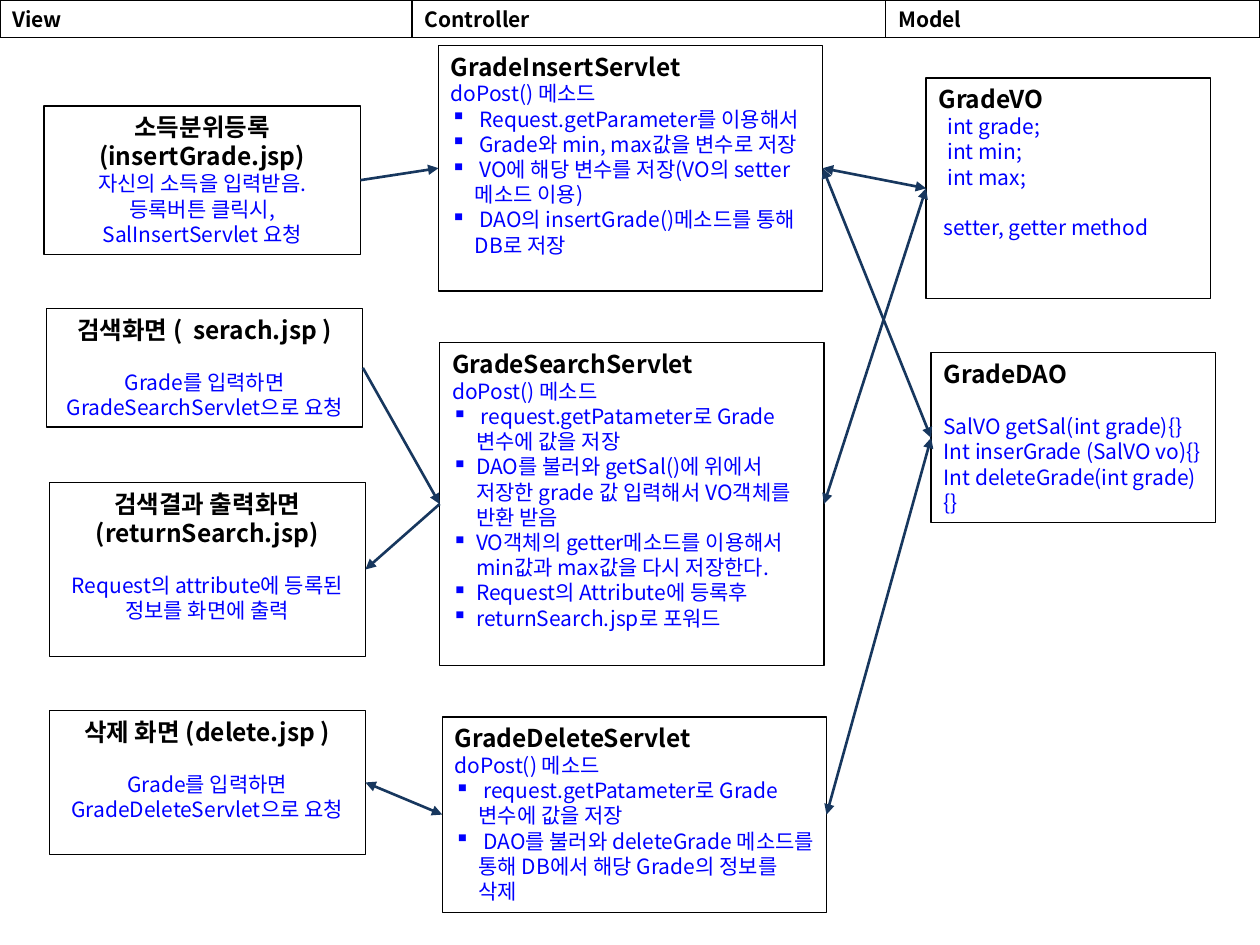
from dataclasses import dataclass

from lxml import etree
from pptx import Presentation
from pptx.dml.color import RGBColor
from pptx.enum.shapes import MSO_CONNECTOR, MSO_SHAPE
from pptx.enum.text import MSO_ANCHOR, PP_ALIGN
from pptx.oxml.ns import qn
from pptx.util import Inches, Pt

RECTANGLE = MSO_SHAPE.RECTANGLE
STRAIGHT = MSO_CONNECTOR.STRAIGHT
TOP = MSO_ANCHOR.TOP
LEFT, CENTER = PP_ALIGN.LEFT, PP_ALIGN.CENTER
LEFT_SIDE, RIGHT_SIDE = 1, 3


@dataclass(frozen=True)
class Theme:
    font: str = "Noto Sans CJK KR"
    black: RGBColor = RGBColor(0, 0, 0)
    blue: RGBColor = RGBColor(0, 0, 0xFF)
    navy: RGBColor = RGBColor(0x17, 0x37, 0x5E)
    title_size: Pt = Pt(14)
    body_size: Pt = Pt(12)
    line_gap: Pt = Pt(14.4)
    box_line: Pt = Pt(0.75)
    arrow_line: Pt = Pt(1.5)


THEME = Theme()
TITLE = {"size": THEME.title_size, "bold": True, "color": THEME.black}
HEADER = {"size": THEME.body_size, "bold": True, "color": THEME.black}
BODY = {"size": THEME.body_size, "bold": False, "color": THEME.blue}

# Paragraph kinds: left margin and first-line indent in inches, space before
KINDS = {
    "plain": (0, 0, Pt(0)),
    "gap": (0, 0, THEME.line_gap),
    "field": (0.07, 0, Pt(0)),
    "method": (0.04, 0, THEME.line_gap),
    "bullet": (0.19, -0.19, Pt(0)),
}


def add_box(shapes, bounds, alignment, lines):
    """Add an outlined box; lines hold (text, font format, paragraph kind)."""
    box = shapes.add_shape(RECTANGLE, *(Inches(value) for value in bounds))
    box.shadow.inherit = False
    box.fill.background()
    box.line.color.rgb = THEME.black
    box.line.width = THEME.box_line
    frame = box.text_frame
    frame.word_wrap = True
    frame.vertical_anchor = TOP
    for index, (text, font_format, kind) in enumerate(lines):
        paragraph = frame.paragraphs[0] if index == 0 else frame.add_paragraph()
        paragraph.alignment = alignment
        margin, indent, paragraph.space_before = KINDS[kind]
        properties = paragraph._p.get_or_add_pPr()
        properties.set("marL", str(Inches(margin)))
        properties.set("indent", str(Inches(indent)))
        if kind == "bullet":
            etree.SubElement(properties, qn("a:buChar"), char="▪")
        run = paragraph.add_run()
        run.text = text
        run.font.name = THEME.font
        for name, value in font_format.items():
            if name == "color":
                run.font.color.rgb = value
            else:
                setattr(run.font, name, value)
        etree.SubElement(run._r.get_or_add_rPr(), qn("a:ea"), typeface=THEME.font)
    return box


presentation = Presentation()
presentation.slide_width = Inches(10)
presentation.slide_height = Inches(7.5)
slide = presentation.slides.add_slide(presentation.slide_layouts[6])

header_left = 0
for label, width in (("View", 3.27), ("Controller", 3.76), ("Model", 2.97)):
    add_box(slide.shapes, (header_left, 0, width, 0.3), LEFT, [(label, HEADER, "plain")])
    header_left += width

# Column: box width, alignment, then boxes as name, left, top, height, title, body
COLUMNS = [
    (2.51, CENTER, [
        ("insert page", 0.35, 0.84, 1.18, "소득분위등록(insertGrade.jsp)", [
            ("자신의 소득을 입력받음.", "plain"),
            ("등록버튼 클릭시,", "plain"),
            ("SalInsertServlet 요청", "plain")]),
        ("search page", 0.37, 2.45, 0.94, "검색화면 (  serach.jsp )", [
            ("Grade를 입력하면", "gap"),
            ("GradeSearchServlet으로 요청", "plain")]),
        ("result page", 0.39, 3.83, 1.38, "검색결과 출력화면 (returnSearch.jsp)", [
            ("Request의 attribute에 등록된 정보를 화면에 출력", "gap")]),
        ("delete page", 0.39, 5.64, 1.14, "삭제 화면 (delete.jsp )", [
            ("Grade를 입력하면", "gap"),
            ("GradeDeleteServlet으로 요청", "plain")]),
    ]),
    (3.05, LEFT, [
        ("insert servlet", 3.48, 0.36, 1.95, "GradeInsertServlet", [
            ("doPost() 메소드", "plain"),
            (" Request.getParameter를 이용해서", "bullet"),
            (" Grade와 min, max값을 변수로 저장", "bullet"),
            (" VO에 해당 변수를 저장(VO의 setter 메소드 이용)", "bullet"),
            (" DAO의 insertGrade()메소드를 통해 DB로 저장", "bullet")]),
        ("search servlet", 3.49, 2.72, 2.56, "GradeSearchServlet", [
            ("doPost() 메소드", "plain"),
            (" request.getPatameter로 Grade 변수에 값을 저장", "bullet"),
            ("DAO를 불러와 getSal()에 위에서 저장한 grade 값 입력해서 VO객체를 반환 받음", "bullet"),
            ("VO객체의 getter메소드를 이용해서 min값과 max값을 다시 저장한다.", "bullet"),
            ("Request의 Attribute에 등록후", "bullet"),
            ("returnSearch.jsp로 포워드", "bullet")]),
        ("delete servlet", 3.51, 5.69, 1.55, "GradeDeleteServlet", [
            ("doPost() 메소드", "plain"),
            (" request.getPatameter로 Grade 변수에 값을 저장", "bullet"),
            (" DAO를 불러와 deleteGrade 메소드를 통해 DB에서 해당 Grade의 정보를 삭제", "bullet")]),
    ]),
    (2.26, LEFT, [
        ("value object", 7.35, 0.62, 1.75, "GradeVO", [
            ("int grade;", "field"),
            ("int min;", "field"),
            ("int max;", "field"),
            ("setter, getter method", "method")]),
        ("data access", 7.39, 2.8, 1.35, "GradeDAO", [
            ("SalVO getSal(int grade){}", "gap"),
            ("Int inserGrade (SalVO vo){}", "plain"),
            ("Int deleteGrade(int grade){}", "plain")]),
    ]),
]

boxes = {}
for width, alignment, column_boxes in COLUMNS:
    for name, left, top, height, title, body in column_boxes:
        lines = [(title, TITLE, "plain")] + [(text, BODY, kind) for text, kind in body]
        boxes[name] = add_box(slide.shapes, (left, top, width, height), alignment, lines)

# Start box and side, end box and side, arrowheads at both ends
ARROWS = [
    ("insert page", RIGHT_SIDE, "insert servlet", LEFT_SIDE, False),
    ("data access", LEFT_SIDE, "insert servlet", RIGHT_SIDE, True),
    ("delete servlet", LEFT_SIDE, "delete page", RIGHT_SIDE, True),
    ("data access", LEFT_SIDE, "delete servlet", RIGHT_SIDE, True),
    ("value object", LEFT_SIDE, "insert servlet", RIGHT_SIDE, True),
    ("value object", LEFT_SIDE, "search servlet", RIGHT_SIDE, True),
    ("search page", RIGHT_SIDE, "search servlet", LEFT_SIDE, False),
    ("search servlet", LEFT_SIDE, "result page", RIGHT_SIDE, False),
]
for start, start_side, end, end_side, two_way in ARROWS:
    arrow = slide.shapes.add_connector(STRAIGHT, 0, 0, 0, 0)
    arrow.begin_connect(boxes[start], start_side)
    arrow.end_connect(boxes[end], end_side)
    arrow.line.color.rgb = THEME.navy
    arrow.line.width = THEME.arrow_line
    line = arrow.line._get_or_add_ln()
    for tag in ("a:headEnd", "a:tailEnd") if two_way else ("a:tailEnd",):
        etree.SubElement(line, qn(tag), type="triangle")
    etree.SubElement(arrow._element.spPr, qn("a:effectLst"))

presentation.save("out.pptx")
